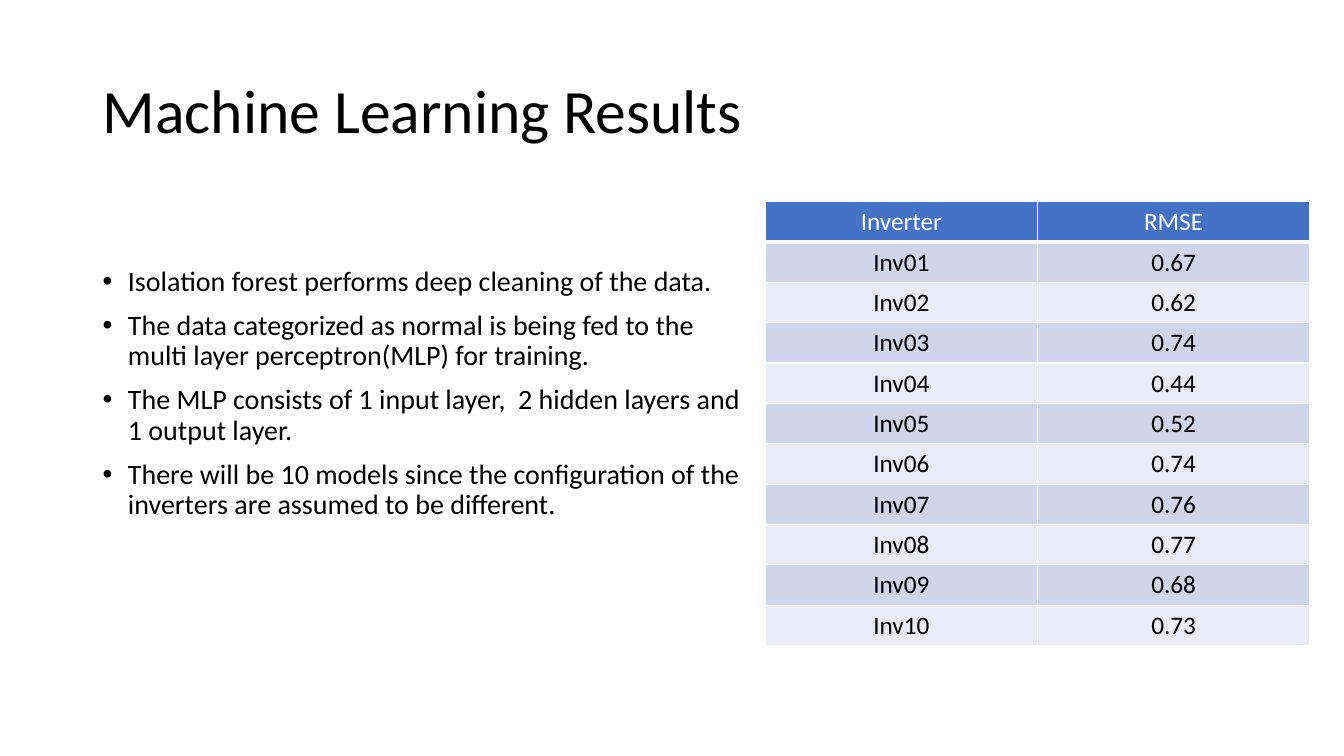
import pptx
import pptx.dml.color
import pptx.enum.text
import pptx.oxml
import pptx.oxml.ns
import pptx.util
from pptx.util import Inches

FONT = "Calibri"
COLORS = {
    "text": "000000",
    "header_text": "FFFFFF",
    "header": "4472C4",
    "odd_row": "CFD5EA",
    "even_row": "E9EBF5",
    "border": "FFFFFF",
}
FINDINGS = [
    "Isolation forest performs deep cleaning of the data.",
    "The data categorized as normal is being fed to the multi layer perceptron(MLP) for training.",
    "The MLP consists of 1 input layer,  2 hidden layers and 1 output layer.",
    "There will be 10 models since the configuration of the inverters are assumed to be different.",
]
RMSE_VALUES = [0.67, 0.62, 0.74, 0.44, 0.52, 0.74, 0.76, 0.77, 0.68, 0.73]


def rgb(name):
    return pptx.dml.color.RGBColor.from_string(COLORS[name])


def set_font(paragraph, size, color):
    paragraph.font.name = FONT
    paragraph.font.size = pptx.util.Pt(size)
    paragraph.font.bold = False
    paragraph.font.color.rgb = rgb(color)


def add_text_frame(slide, left, top, width, height):
    frame = slide.shapes.add_textbox(
        Inches(left), Inches(top), Inches(width), Inches(height)).text_frame
    frame.word_wrap = True
    return frame


def add_title(slide, left, top, width, height):
    frame = add_text_frame(slide, left, top, width, height)
    frame.vertical_anchor = pptx.enum.text.MSO_ANCHOR.MIDDLE
    title = frame.paragraphs[0]
    title.text = "Machine Learning Results"
    title.line_spacing = 0.9
    set_font(title, 44, "text")


def add_bullet(paragraph, indent):
    """Give the paragraph a round bullet with a hanging indent."""
    properties = paragraph._p.get_or_add_pPr()
    properties.set("marL", str(Inches(indent)))
    properties.set("indent", str(-Inches(indent)))
    namespace = pptx.oxml.ns.nsdecls("a")
    for xml in (f'<a:buFont {namespace} typeface="Arial"/>',
                f'<a:buChar {namespace} char="•"/>'):
        properties.append(pptx.oxml.parse_xml(xml))


def add_findings(slide, left, top, width, height):
    frame = add_text_frame(slide, left, top, width, height)
    for index, finding in enumerate(FINDINGS):
        paragraph = frame.add_paragraph() if index else frame.paragraphs[0]
        paragraph.text = finding
        paragraph.line_spacing = 0.9
        paragraph.space_before = pptx.util.Pt(10)
        set_font(paragraph, 20, "text")
        add_bullet(paragraph, 0.25)


def add_borders(cell, bottom_width):
    """Outline the cell; call before filling it, as the fill follows the lines."""
    properties = cell._tc.get_or_add_tcPr()
    for side, width in (("L", 1), ("R", 1), ("T", 1), ("B", bottom_width)):
        properties.append(pptx.oxml.parse_xml(
            f'<a:ln{side} {pptx.oxml.ns.nsdecls("a")} w="{pptx.util.Pt(width)}">'
            f'<a:solidFill><a:srgbClr val="{COLORS["border"]}"/></a:solidFill>'
            f'</a:ln{side}>'))


def add_rmse_table(slide, left, top, width, height):
    rows = [("Inverter", "RMSE")]
    rows += [(f"Inv{number:02}", f"{rmse:.2f}")
             for number, rmse in enumerate(RMSE_VALUES, 1)]
    table = slide.shapes.add_table(
        len(rows), len(rows[0]),
        Inches(left), Inches(top), Inches(width), Inches(height)).table
    for row_index, row in enumerate(rows):
        is_header = row_index == 0
        fill = "header" if is_header else "odd_row" if row_index % 2 else "even_row"
        for column_index, value in enumerate(row):
            cell = table.cell(row_index, column_index)
            cell.text = value
            add_borders(cell, 3 if is_header else 1)
            cell.fill.solid()
            cell.fill.fore_color.rgb = rgb(fill)
            paragraph = cell.text_frame.paragraphs[0]
            paragraph.alignment = pptx.enum.text.PP_ALIGN.CENTER
            set_font(paragraph, 18, "header_text" if is_header else "text")


def main():
    presentation = pptx.Presentation()
    presentation.slide_width = Inches(13.33)
    presentation.slide_height = Inches(7.5)
    slide = presentation.slides.add_slide(presentation.slide_layouts[6])
    add_title(slide, 0.92, 0.4, 11.5, 1.45)
    add_findings(slide, 0.92, 2.6, 6.58, 4.76)
    add_rmse_table(slide, 7.59, 2, 5.4, 4.4)
    presentation.save("out.pptx")


if __name__ == "__main__":
    main()
